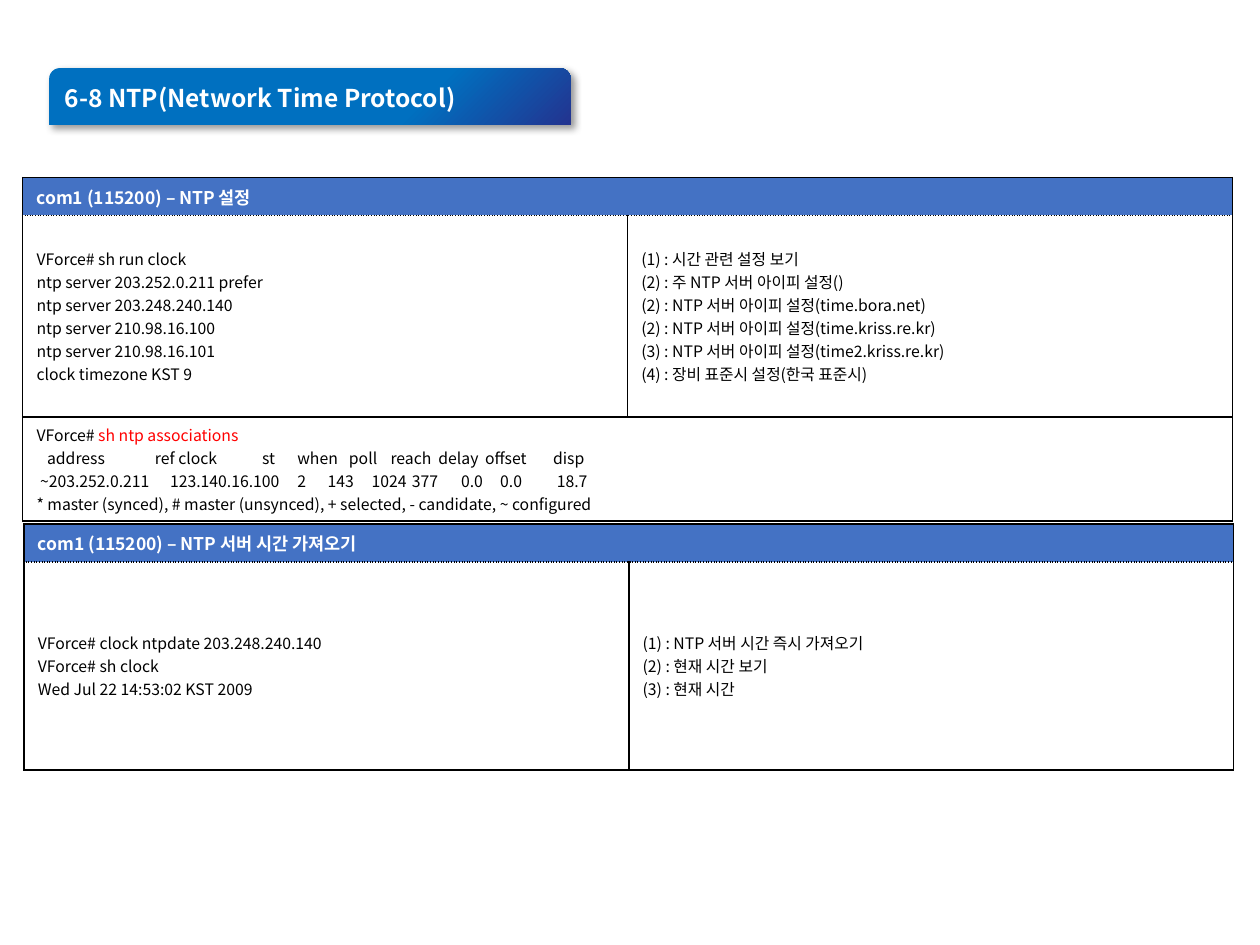
from lxml.etree import SubElement
from pptx import Presentation
from pptx.dml.color import RGBColor
from pptx.enum.shapes import MSO_SHAPE as Shape
from pptx.enum.text import MSO_ANCHOR as Anchor, PP_ALIGN as Align
from pptx.oxml.ns import qn
from pptx.util import Inches, Pt

COLORS = {
    "black": "000000",
    "white": "FFFFFF",
    "red": "FF0000",
    "header": "4472C4",
    "title_start": "0070C0",
    "title_end": "233490",
}
FONT = "Noto Sans CJK KR"


def rgb(name):
    return RGBColor.from_string(COLORS[name])


def add_element(parent, tag, **attributes):
    return SubElement(parent, qn(tag), {key: str(value) for key, value in attributes.items()})


class SlideBuilder:
    def __init__(self, slide):
        self.slide = slide

    def style(self, paragraph, size, color, bold=False):
        paragraph.alignment = Align.LEFT
        font = paragraph.font
        font.name, font.size, font.bold = FONT, Pt(size), bold
        font.color.rgb = rgb(color)
        add_element(paragraph._p.pPr.find(qn("a:defRPr")), "a:ea", typeface=FONT)

    def title(self, text, left, top, width, height):
        shape = self.slide.shapes.add_shape(
            Shape.ROUND_2_SAME_RECTANGLE, Inches(left), Inches(top), Inches(width), Inches(height))
        shape.adjustments[0] = 0.19
        shape.line.fill.background()
        shape.fill.gradient()
        shape.fill.gradient_angle = 315
        stops = zip(shape.fill.gradient_stops, (0.7, 1), ("title_start", "title_end"))
        for stop, position, color in stops:
            stop.position = position
            stop.color.rgb = rgb(color)

        # Soft shadow to the lower right
        shape.shadow.inherit = False
        effects = shape._element.spPr.find(qn("a:effectLst"))
        shadow = add_element(effects, "a:outerShdw", blurRad=Pt(4), dist=Pt(3),
                             dir=45 * 60000, algn="tl", rotWithShape=0)
        shadow_color = add_element(shadow, "a:srgbClr", val=COLORS["black"])
        add_element(shadow_color, "a:alpha", val=40000)

        frame = shape.text_frame
        frame.word_wrap = True
        frame.vertical_anchor = Anchor.MIDDLE
        frame.margin_left = frame.margin_right = Inches(0.1)
        frame.margin_top = frame.margin_bottom = Inches(0.02)
        frame.text = text
        self.style(frame.paragraphs[0], 14, "white", bold=True)

    def borders(self, cell, dotted_side=None):
        properties = cell._tc.get_or_add_tcPr()
        for index, side in enumerate(("lnL", "lnR", "lnT", "lnB")):
            line = add_element(properties, f"a:{side}", w=Pt(1))
            fill = add_element(line, "a:solidFill")
            add_element(fill, "a:srgbClr", val=COLORS["black"])
            add_element(line, "a:prstDash", val="sysDot" if side == dotted_side else "solid")
            properties.remove(line)
            properties.insert(index, line)

    def cell(self, cell, lines, header=False):
        """Each line is a text, a list of (text, color) runs, or a (text, tab stops) pair."""
        cell.vertical_anchor = Anchor.MIDDLE
        cell.margin_left = cell.margin_right = Inches(0.11)
        cell.margin_top = cell.margin_bottom = Inches(0.05)
        if header:
            cell.fill.solid()
            cell.fill.fore_color.rgb = rgb("header")
        else:
            cell.fill.background()

        frame = cell.text_frame
        for index, line in enumerate(lines):
            paragraph = frame.paragraphs[0] if index == 0 else frame.add_paragraph()
            text, stops = line if isinstance(line, tuple) else (line, ())
            if stops:
                tab_list = add_element(paragraph._p.get_or_add_pPr(), "a:tabLst")
                for stop in stops:
                    add_element(tab_list, "a:tab", pos=Inches(stop), algn="l")
            runs = text if isinstance(text, list) else [(text, None)]
            for content, color in runs:
                run = paragraph.add_run()
                run.text = content
                if color:
                    run.font.color.rgb = rgb(color)
            if header:
                self.style(paragraph, 10, "white", bold=True)
            else:
                self.style(paragraph, 9, "black")

    def table(self, left, top, row_heights, rows):
        """The first row is the header; a row with one cell spans both columns."""
        table = self.slide.shapes.add_table(
            len(rows), 2, Inches(left), Inches(top), Inches(9.6), Inches(sum(row_heights))).table
        table.first_row = table.horz_banding = False
        for index, (height, contents) in enumerate(zip(row_heights, rows)):
            table.rows[index].height = Inches(height)
            cells = table.rows[index].cells
            if len(contents) == 1:
                table.cell(index, 0).merge(table.cell(index, 1))
            for cell, lines in zip(cells, contents):
                self.cell(cell, lines, header=index == 0)
            for cell in cells:
                self.borders(cell, {0: "lnB", 1: "lnT"}.get(index))


def main():
    presentation = Presentation()
    presentation.slide_width, presentation.slide_height = Inches(10), Inches(7.5)
    builder = SlideBuilder(presentation.slides.add_slide(presentation.slide_layouts[6]))

    builder.title("6-8 NTP(Network Time Protocol)", 0.39, 0.54, 4.14, 0.45)

    # NTP settings, with the console listing set on tab stops
    settings = [
        "VForce# sh run clock",
        "ntp server 203.252.0.211 prefer",
        "ntp server 203.248.240.140",
        "ntp server 210.98.16.100",
        "ntp server 210.98.16.101",
        "clock timezone KST 9",
    ]
    settings_notes = [
        "(1) : 시간 관련 설정 보기",
        "(2) : 주 NTP 서버 아이피 설정()",
        "(2) : NTP 서버 아이피 설정(time.bora.net)",
        "(2) : NTP 서버 아이피 설정(time.kriss.re.kr)",
        "(3) : NTP 서버 아이피 설정(time2.kriss.re.kr)",
        "(4) : 장비 표준시 설정(한국 표준시)",
    ]
    associations = [
        [("VForce# ", None), ("sh ntp associations", "red")],
        ("   address\tref clock\tst\twhen\tpoll\treach\tdelay\toffset\tdisp",
         (0.94, 1.79, 2.07, 2.48, 2.81, 3.19, 3.56, 4.1)),
        (" ~203.252.0.211\t123.140.16.100\t2\t143\t1024\t377\t0.0\t0.0\t18.7",
         (1.06, 2.07, 2.31, 2.66, 2.98, 3.37, 3.68, 4.13)),
        "* master (synced), # master (unsynced), + selected, - candidate, ~ configured",
    ]
    builder.table(0.18, 1.41, (0.27, 1.6, 0.5), [
        [["com1 (115200) – NTP 설정"]],
        [settings, settings_notes],
        [associations],
    ])

    # Fetching the server time
    builder.table(0.19, 4.16, (0.27, 1.65), [
        [["com1 (115200) – NTP 서버 시간 가져오기"]],
        [
            ["VForce# clock ntpdate 203.248.240.140", "VForce# sh clock",
             "Wed Jul 22 14:53:02 KST 2009"],
            ["(1) : NTP 서버 시간 즉시 가져오기", "(2) : 현재 시간 보기", "(3) : 현재 시간"],
        ],
    ])

    presentation.save("out.pptx")


if __name__ == "__main__":
    main()
